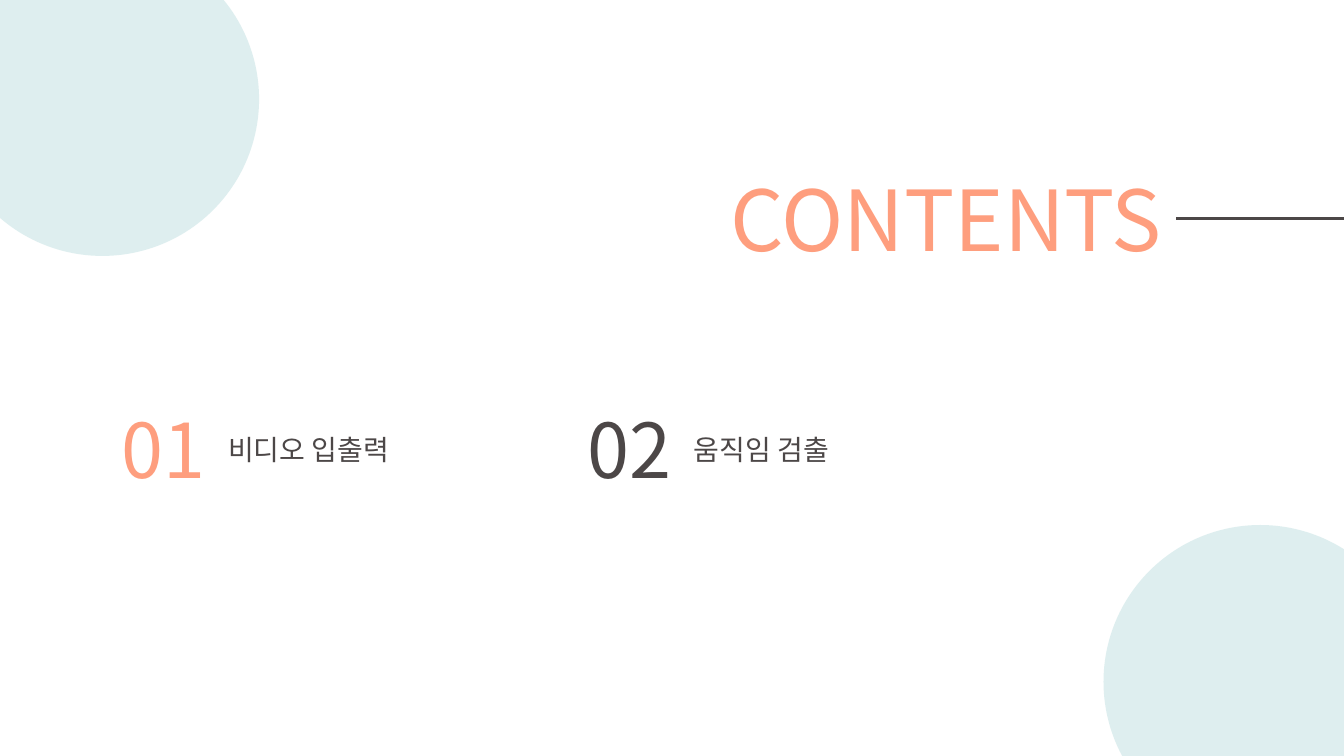
"""Builds a contents slide with a heading, two numbered topics and two corner circles."""
from dataclasses import dataclass

from lxml import etree
from pptx import Presentation
from pptx import util as u
from pptx.dml.color import RGBColor
from pptx.enum import shapes, text
from pptx.oxml.ns import qn
from pptx.slide import Slide


@dataclass(frozen=True)
class Theme:
    font: str = "Noto Sans CJK KR"
    coral: str = "FE9E7E"
    charcoal: str = "4C4747"
    mint: str = "C8E4E5"
    heading_size: int = 60
    number_size: int = 54
    topic_size: int = 20
    rule_width: float = 2.25
    outline_width: float = 0.75
    outline_opacity: int = 20
    circle_opacity: int = 60


@dataclass(frozen=True)
class Label:
    wording: str
    left: float
    top: float
    width: float
    height: float
    size: int
    color: str


@dataclass(frozen=True)
class Topic:
    number: str
    title: str
    left: float
    title_width: float
    number_color: str


@dataclass(frozen=True)
class Circle:
    left: float
    top: float


THEME = Theme()
SLIDE_WIDTH, SLIDE_HEIGHT = 33.87, 19.05
CIRCLE_SIZE = 7.9
RULE_LEFT, RULE_TOP = 29.64, 5.51
NUMBER_TOP, NUMBER_WIDTH, NUMBER_HEIGHT = 10.03, 2.68, 2.57
TITLE_TOP, TITLE_HEIGHT = 10.77, 1.12

HEADING = Label("CONTENTS", 18.16, 4.09, 11.48, 2.82, THEME.heading_size, THEME.coral)
CIRCLES = (Circle(-1.37, -1.45), Circle(27.81, 13.23))
TOPICS = (
    Topic("01", "비디오 입출력", 2.82, 5.03, THEME.coral),
    Topic("02", "움직임 검출", 14.56, 4.32, THEME.charcoal),
)


def set_opacity(fill_parent: etree._Element, percent: int) -> None:
    """Make the solid colour inside an element partly transparent."""
    color = fill_parent.find(f"{qn('a:solidFill')}/{qn('a:srgbClr')}")
    etree.SubElement(color, qn("a:alpha"), val=str(percent * 1000))


def add_outline(properties: etree._Element, color: str) -> None:
    """Give run properties a thin translucent outline."""
    outline = etree.Element(qn("a:ln"), w=str(u.Pt(THEME.outline_width)))
    fill = etree.SubElement(outline, qn("a:solidFill"))
    etree.SubElement(fill, qn("a:srgbClr"), val=color)
    set_opacity(outline, THEME.outline_opacity)
    properties.insert(0, outline)


def draw_label(slide: Slide, label: Label) -> None:
    """Draw one unwrapped line of text."""
    box = slide.shapes.add_textbox(
        u.Cm(label.left), u.Cm(label.top), u.Cm(label.width), u.Cm(label.height))
    frame = box.text_frame
    frame.text = label.wording
    frame.word_wrap = False
    frame.auto_size = text.MSO_AUTO_SIZE.SHAPE_TO_FIT_TEXT
    run = frame.paragraphs[0].runs[0]
    run.font.size = u.Pt(label.size)
    run.font.name = THEME.font
    run.font.color.rgb = RGBColor.from_string(label.color)
    properties = run.font._element
    etree.SubElement(properties, qn("a:ea"), typeface=THEME.font)
    add_outline(properties, label.color)


def draw_topic(slide: Slide, topic: Topic) -> None:
    """Draw a topic number with its title to the right."""
    draw_label(slide, Label(topic.number, topic.left, NUMBER_TOP, NUMBER_WIDTH,
                            NUMBER_HEIGHT, THEME.number_size, topic.number_color))
    draw_label(slide, Label(topic.title, topic.left + NUMBER_WIDTH, TITLE_TOP,
                            topic.title_width, TITLE_HEIGHT, THEME.topic_size,
                            THEME.charcoal))


def draw_circle(slide: Slide, circle: Circle) -> None:
    """Draw a translucent corner circle."""
    disc = slide.shapes.add_shape(
        shapes.MSO_SHAPE.OVAL, u.Cm(circle.left), u.Cm(circle.top),
        u.Cm(CIRCLE_SIZE), u.Cm(CIRCLE_SIZE))
    disc.shadow.inherit = False
    disc.fill.solid()
    disc.fill.fore_color.rgb = RGBColor.from_string(THEME.mint)
    set_opacity(disc._element.spPr, THEME.circle_opacity)
    disc.line.fill.background()


def draw_rule(slide: Slide) -> None:
    """Draw the line from the heading to the slide edge."""
    rule = slide.shapes.add_connector(
        shapes.MSO_CONNECTOR.STRAIGHT, u.Cm(RULE_LEFT), u.Cm(RULE_TOP),
        u.Cm(SLIDE_WIDTH), u.Cm(RULE_TOP))
    rule.line.color.rgb = RGBColor.from_string(THEME.charcoal)
    rule.line.width = u.Pt(THEME.rule_width)
    etree.SubElement(rule._element.spPr, qn("a:effectLst"))


def main() -> None:
    """Build and save the slide."""
    deck = Presentation()
    deck.slide_width, deck.slide_height = u.Cm(SLIDE_WIDTH), u.Cm(SLIDE_HEIGHT)
    slide = deck.slides.add_slide(deck.slide_layouts[6])
    draw_label(slide, HEADING)
    draw_rule(slide)
    for circle in CIRCLES:
        draw_circle(slide, circle)
    for topic in TOPICS:
        draw_topic(slide, topic)
    deck.save("out.pptx")


if __name__ == "__main__":
    main()
